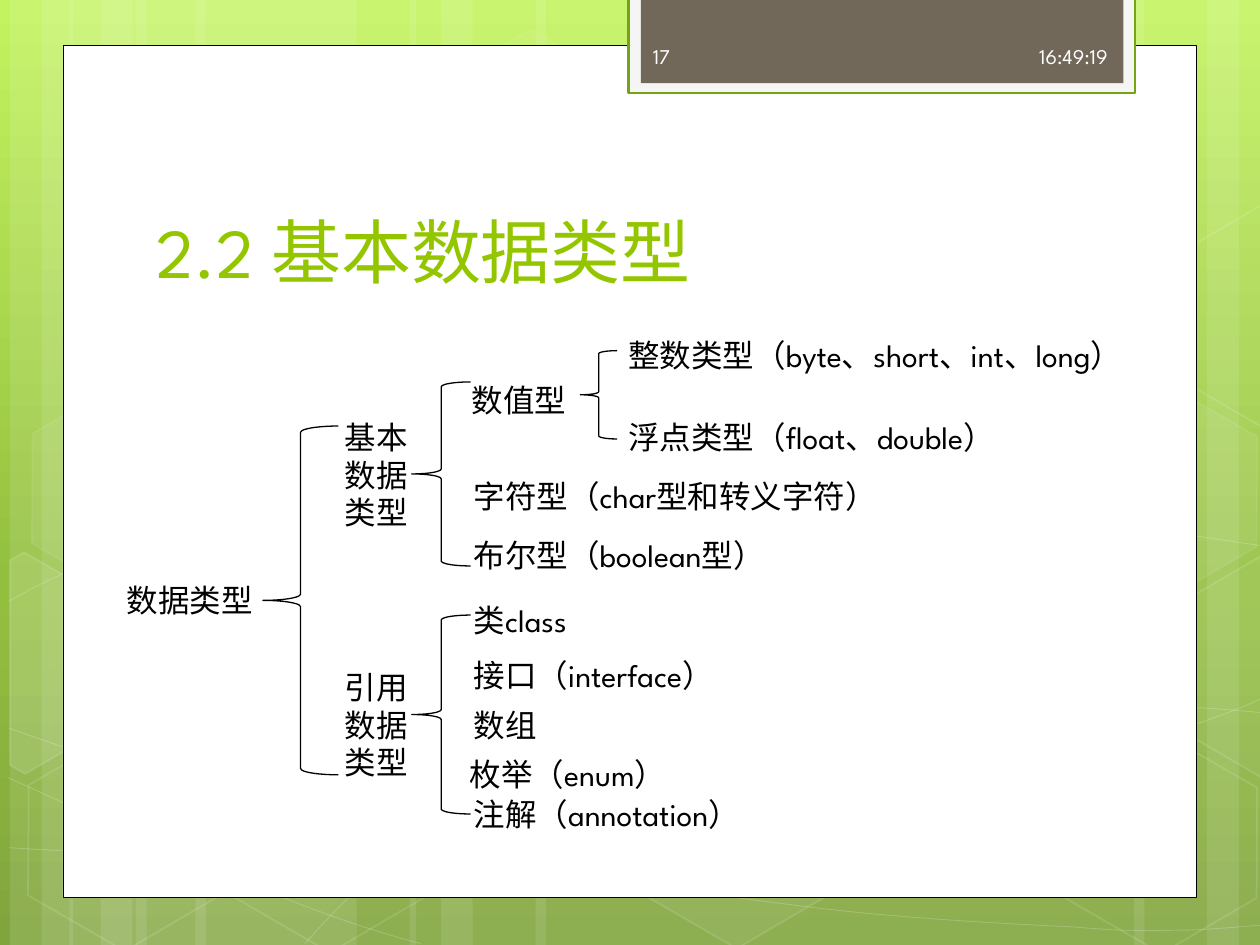
from copy import deepcopy
from math import cos, radians, sin
from lxml import etree
from pptx import Presentation
from pptx.dml.color import RGBColor
from pptx.enum.shapes import MSO_SHAPE
from pptx.enum.text import MSO_ANCHOR, MSO_AUTO_SIZE, PP_ALIGN
from pptx.oxml.ns import qn
from pptx.util import Cm, Pt

RECTANGLE, HEXAGON, LEFT_BRACE = MSO_SHAPE.RECTANGLE, MSO_SHAPE.HEXAGON, MSO_SHAPE.LEFT_BRACE
LEFT, RIGHT = PP_ALIGN.LEFT, PP_ALIGN.RIGHT
TOP, MIDDLE, BOTTOM = MSO_ANCHOR.TOP, MSO_ANCHOR.MIDDLE, MSO_ANCHOR.BOTTOM
FIT_SHAPE, NO_FIT = MSO_AUTO_SIZE.SHAPE_TO_FIT_TEXT, MSO_AUTO_SIZE.NONE
FONT = "League Spartan"
BLACK, WHITE = "000000", "FFFFFF"
SLIDE_WIDTH, SLIDE_HEIGHT = 25.4, 19.05
LINE_HEIGHT = 1.02
HEXAGON_TILT = 30

TITLE = "2.2 基本数据类型"
TITLE_BOX = (2.9, 2.84, 19.51, 3.18)
HEADER = [
    ("16:49:19", (16.66, 0.62, 5.92, LINE_HEIGHT), RIGHT),
    ("17", (12.91, 0.62, 3.71, LINE_HEIGHT), LEFT),
]
TYPES = [
    ("数据类型", 2.31, 11.58, 3.07),
    ("基本\n数据\n类型", 6.7, 8.3, 1.8),
    ("引用\n数据\n类型", 6.7, 13.34, 1.8),
    ("数值型", 9.26, 7.56, 2.44),
    ("整数类型（byte、short、int、long）", 12.42, 6.64, 11.28),
    ("浮点类型（float、double）", 12.42, 8.31, 8.64),
    ("字符型（char型和转义字符）", 9.3, 9.5, 8.99),
    ("布尔型（boolean型）", 9.3, 10.68, 7.01),
    ("类class", 9.3, 11.99, 2.64),
    ("接口（interface）", 9.3, 13.1, 5.89),
    ("数组", 9.3, 14.1, 1.8),
    ("枚举（enum）", 9.22, 15.09, 4.88),
    ("注解（annotation）", 9.3, 15.9, 6.53),
]
BRACES = [
    (5.3, 8.59, 1.52, 7.03),
    (8.3, 7.7, 1.19, 3.71),
    (8.3, 12.4, 1.19, 4.01),
    (11.7, 7.07, 0.74, 1.78),
]
PANELS = [
    ((1.27, 0.91, 22.86, 17.19), WHITE, BLACK, 0.5),
    ((12.67, -0.05, 10.21, 1.93), "F5F5F5", "74A510", 1.25),
    ((12.92, -0.05, 9.73, 1.73), "71685A", None, 0),
]

GRADIENT = [(0, "C3F35F"), (0.62, "93BF3F"), (1, "81A53E")]
BANDS = [
    (2.74, 4.45), (0.2, 1.27), (0.84, 2.12), (3.94, 4.45), (1.4, 1.27), (2.03, 2.12),
    (18.62, 4.45), (24.33, 1.27), (22.86, 2.12), (10.8, 7.82), (8.26, 1.27), (8.89, 2.12),
]
CURVES = [
    [(0.18, 17.09), (1.55, 17.17), (2.92, 17.25), (4.83, 17.22), (6.73, 17.2),
     (9.09, 17.15), (11.63, 16.89), (14.17, 16.64), (17.78, 16.15), (20.12, 15.67),
     (22.43, 15.19), (24.82, 14.43), (25.58, 14)],
    [(0.18, 12.12), (0.91, 11.71), (1.65, 11.33), (3.07, 10.95), (4.52, 10.57),
     (6.58, 10.01), (8.81, 9.83), (11.07, 9.65), (13.82, 9.63), (16.61, 9.83),
     (19.41, 10.03), (24.05, 10.82), (25.58, 11.02)],
    [(0.15, 15.67), (3.23, 17.07), (6.27, 18.47), (8.48, 19.02)],
    [(0.18, 14.68), (0.97, 14.96), (1.78, 15.24), (3.25, 15.65), (4.72, 16.03),
     (6.93, 16.66), (9.07, 17.09), (11.18, 17.53), (13.84, 17.98), (15.95, 18.24),
     (18.06, 18.52), (20.32, 18.62), (21.67, 18.69), (22.99, 18.8), (23.34, 18.75),
     (24, 18.75), (24.66, 18.72), (25.12, 18.67), (25.58, 18.64)],
    [(6.15, 19.02), (6.6, 18.52), (7.06, 18.01), (7.67, 17.55), (8.28, 17.09),
     (9.14, 16.59), (9.86, 16.23), (10.57, 15.88), (11, 15.72), (11.94, 15.47),
     (12.85, 15.21), (14.55, 14.86), (15.44, 14.68), (16.36, 14.5), (16.48, 14.5),
     (17.27, 14.45), (18.06, 14.38), (19.3, 14.3), (20.17, 14.27), (21.06, 14.25),
     (22.5, 14.27), (22.5, 14.27), (23.07, 14.27), (23.64, 14.27), (24.21, 14.27),
     (24.66, 14.3), (25.1, 14.33), (25.55, 14.38)],
]
HEXAGONS = [
    (8.48, 0.91, 4, 8), (12.62, 14.96, 6, 12), (0.28, 15.01, 0, 12), (0.36, 7.92, 7, 8),
    (4.42, 15.04, 0, 12), (19.13, 11.51, 10, 12), (21.18, 15.06, 0, 12), (21.18, 7.98, 7, 8),
]
LEFT_EDGE_HEXAGON = [(0.2, 11.3), (0.48, 11.13), (2.44, 12.24), (2.41, 14.48), (0.51, 15.6), (0.2, 15.42)]
RIGHT_EDGE_HEXAGON = [(23.52, 12.32), (25.43, 11.2), (25.63, 11.33), (25.63, 15.57), (25.45, 15.67), (23.52, 14.55)]
EDGE_HEXAGONS = [
    (LEFT_EDGE_HEXAGON, (0.91, 13.59), 10),
    (RIGHT_EDGE_HEXAGON, (25.02, 13.21), 4),
    ([(x, y - 7.07) for x, y in RIGHT_EDGE_HEXAGON], (25.02, 6.14), 0),
]


def rgb(color):
    return RGBColor.from_string(color)


def paint(fill, color, opacity):
    if not color or not opacity:
        fill.background()
        return
    fill.solid()
    fill.fore_color.rgb = rgb(color)


def style(shape, fill=None, line=None, width=0, fill_opacity=100, line_opacity=100):
    shape.shadow.inherit = False
    paint(shape.fill, fill, fill_opacity)
    paint(shape.line.fill, line, line_opacity)
    if line:
        shape.line.width = Pt(width)
    properties = shape.element.spPr
    for parent, opacity in (("a:solidFill", fill_opacity), ("a:ln/a:solidFill", line_opacity)):
        for color in properties.xpath(f"{parent}/a:srgbClr"):
            if opacity < 100:
                etree.SubElement(color, qn("a:alpha"), val=str(opacity * 1000))


def add_preset(shapes, preset, box, **look):
    shape = shapes.add_shape(preset, *map(Cm, box))
    style(shape, **look)
    return shape


def add_outline(shapes, points, close, **look):
    start, *rest = [(Cm(x), Cm(y)) for x, y in points]
    builder = shapes.build_freeform(*start)
    builder.add_line_segments(rest, close=close)
    outline = builder.convert_to_shape()
    style(outline, **look)
    return outline


def bend(outline):
    segments = outline.element.xpath(".//a:lnTo")
    for first in range(0, len(segments), 3):
        start, *controls = segments[first:first + 3]
        start.tag = qn("a:cubicBezTo")
        for control in controls:
            start.append(control[0])
            control.getparent().remove(control)


def untilt(points, center):
    c, s = cos(radians(HEXAGON_TILT)), sin(radians(HEXAGON_TILT))
    offsets = [(x - center[0], y - center[1]) for x, y in points]
    return [(center[0] + x * c + y * s, center[1] - x * s + y * c) for x, y in offsets]


def write(shape, text, size, color, align=LEFT, anchor=TOP, wrap=True, fit=NO_FIT):
    frame = shape.text_frame
    frame.text = text
    frame.word_wrap = wrap
    frame.auto_size = fit
    frame.vertical_anchor = anchor
    for paragraph in frame.paragraphs:
        paragraph.alignment = align
        paragraph.font.name = FONT
        paragraph.font.size = Pt(size)
        paragraph.font.color.rgb = rgb(color)


def add_background(slide):
    fill = slide.background.fill
    fill.gradient()
    fill.gradient_angle = 270
    stop_list = slide.element.find(".//" + qn("a:gsLst"))
    stop_list.append(deepcopy(stop_list[-1]))
    for stop, (position, color) in zip(fill.gradient_stops, GRADIENT):
        stop.position = position
        stop.color.rgb = rgb(color)


def add_decoration(shapes):
    for left, width in BANDS:
        add_preset(shapes, RECTANGLE, (left, 0, width, SLIDE_HEIGHT), fill=WHITE, fill_opacity=10)
    for controls in CURVES:
        bend(add_outline(shapes, controls, False, line=WHITE, width=0.5, line_opacity=20))
    for left, top, fill_opacity, line_opacity in HEXAGONS:
        hexagon = add_preset(shapes, HEXAGON, (left, top, 4.45, 3.86), fill=WHITE, line=WHITE,
                             width=1, fill_opacity=fill_opacity, line_opacity=line_opacity)
        hexagon.adjustments[0] = 0.285
        hexagon.rotation = HEXAGON_TILT
    for points, center, fill_opacity in EDGE_HEXAGONS:
        hexagon = add_outline(shapes, untilt(points, center), True, fill=WHITE, line=WHITE, width=1,
                              fill_opacity=fill_opacity, line_opacity=12)
        hexagon.rotation = HEXAGON_TILT


def main():
    deck = Presentation()
    deck.slide_width, deck.slide_height = Cm(SLIDE_WIDTH), Cm(SLIDE_HEIGHT)
    slide = deck.slides.add_slide(deck.slide_layouts[5])
    shapes = slide.shapes
    add_background(slide)
    add_decoration(shapes.add_group_shape().shapes)
    for box, fill, line, width in PANELS:
        add_preset(shapes, RECTANGLE, box, fill=fill, line=line, width=width)

    title = shapes.title
    title.element.getparent().append(title.element)
    title.left, title.top, title.width, title.height = map(Cm, TITLE_BOX)
    write(title, TITLE, 40, "94C600", anchor=BOTTOM)
    for text, box, align in HEADER:
        write(shapes.add_textbox(*map(Cm, box)), text, 12, "FEFEFE", align, MIDDLE)
    for box in BRACES:
        add_preset(shapes, LEFT_BRACE, box, line=BLACK, width=0.75)
    for text, left, top, width in TYPES:
        height = LINE_HEIGHT + 0.77 * text.count("\n")
        label = shapes.add_textbox(*map(Cm, (left, top, width, height)))
        write(label, text, 18, BLACK, wrap=False, fit=FIT_SHAPE)
    deck.save("out.pptx")


if __name__ == "__main__":
    main()
